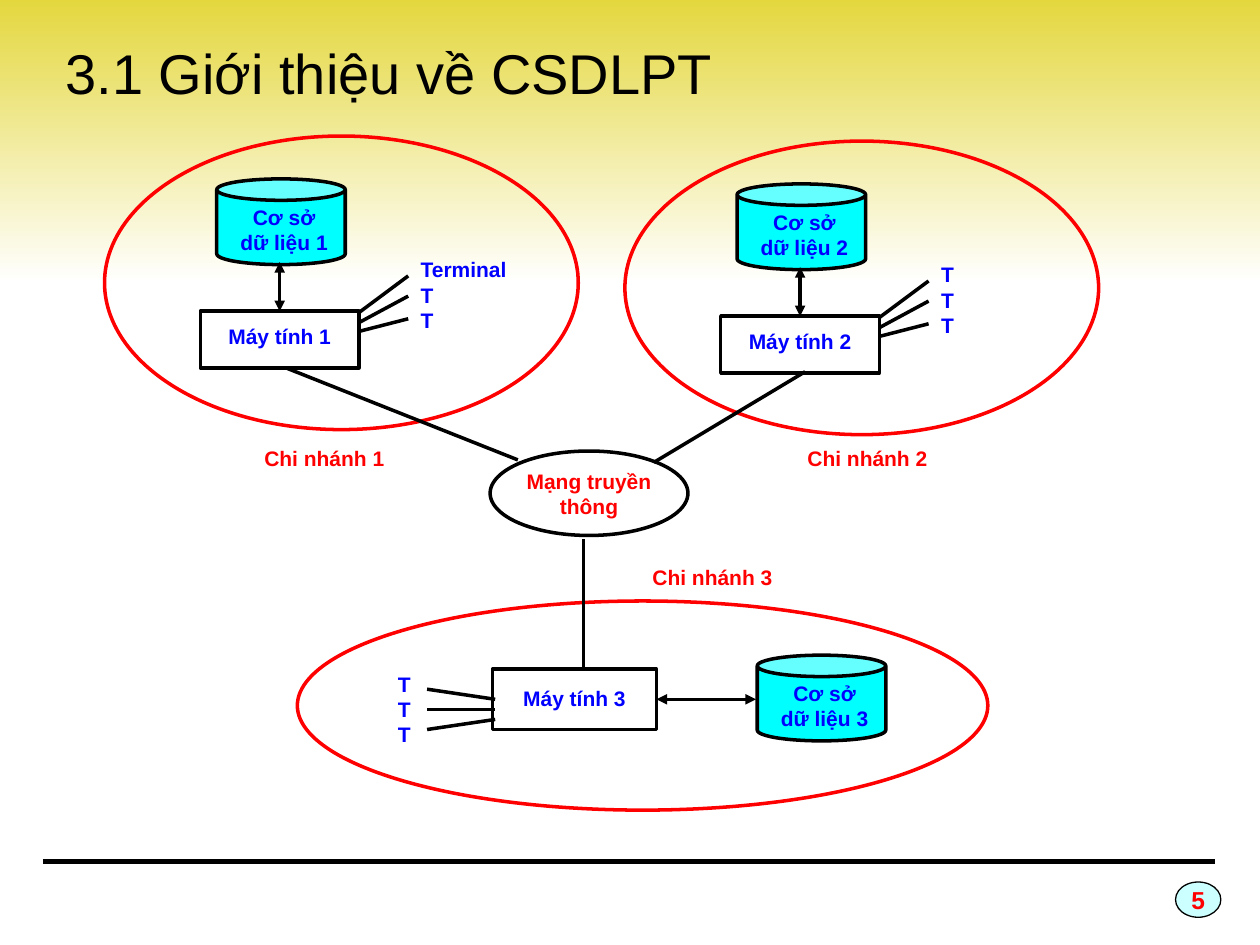
from lxml import etree
from pptx import Presentation
from pptx.dml.color import RGBColor
from pptx.enum.shapes import MSO_CONNECTOR, MSO_SHAPE
from pptx.enum.text import MSO_ANCHOR, MSO_AUTO_SIZE, PP_ALIGN
from pptx.oxml.ns import qn
from pptx.util import Inches, Pt

STRAIGHT = MSO_CONNECTOR.STRAIGHT
RECT, OVAL, CAN = MSO_SHAPE.RECTANGLE, MSO_SHAPE.OVAL, MSO_SHAPE.CAN
LEFT, CENTER = PP_ALIGN.LEFT, PP_ALIGN.CENTER
MIDDLE = MSO_ANCHOR.MIDDLE
TOP_SIDE, RIGHT_SIDE = 0, 3

COLORS = {"gold": "E3D638", "white": "FFFFFF", "black": "000000", "red": "FF0000",
          "blue": "0000FF", "cyan": "00FFFF", "pale": "CCFFFF"}

TITLE = "3.1 Giới thiệu về CSDLPT"
NETWORK = ["Mạng truyền", "thông"]
PAGE = "5"
TERMINAL_LINES = [(2.85, 2.48, 3.24, 2.19), (2.85, 2.56, 3.24, 2.35), (2.85, 2.63, 3.24, 2.53)]
UPPER = {
    "area": (0.83, 1.08, 3.76, 2.33), "database": (1.72, 1.42, 1.02, 0.68),
    "computer": (1.59, 2.47, 1.26, 0.45), "computer_text": (1.56, 2.52, 1.32, 0.29),
    "terminal_text": (3.24, 1.99, 1.31, 0.95), "terminal_lines": TERMINAL_LINES,
    "link": (2.22, 2.08, 2.22, 2.47), "joined_side": TOP_SIDE,
}
LOWER = {
    "area": (2.36, 4.77, 5.48, 1.66), "database": (6.01, 5.2, 1.02, 0.68),
    "computer": (3.91, 5.31, 1.3, 0.48), "computer_text": (3.93, 5.39, 1.26, 0.28),
    "terminal_text": (3.06, 5.28, 0.54, 0.8),
    "terminal_lines": [(3.39, 5.47, 3.93, 5.55), (3.39, 5.63, 3.93, 5.63), (3.39, 5.79, 3.93, 5.71)],
    "link": (6, 5.55, 5.21, 5.55), "joined_side": RIGHT_SIDE,
}
BRANCHES = [
    {"number": 1, "plan": UPPER, "shift": (0, 0), "terminals": ["Terminal", "T", "T"],
     "caption": (1.86, 3.49), "trunk": (2.27, 2.92, 4.11, 3.65)},
    {"number": 2, "plan": UPPER, "shift": (4.13, 0.04), "terminals": ["T", "T", "T"],
     "caption": (6.17, 3.49), "trunk": (6.39, 2.95, 5.19, 3.67)},
    {"number": 3, "plan": LOWER, "shift": (0, 0), "terminals": ["T", "T", "T"],
     "caption": (4.94, 4.43), "trunk": (4.63, 5.31, 4.63, 4.28)},
]

prs = Presentation()
prs.slide_width, prs.slide_height = Inches(10), Inches(7.5)
slide = prs.slides.add_slide(prs.slide_layouts[5])
shapes = slide.shapes


def rgb(color):
    return RGBColor.from_string(COLORS[color])


def inches(values):
    return [Inches(value) for value in values]


def moved(values, shift):
    return [value + shift[i % 2] if i < 2 else value for i, value in enumerate(values)]


def write(shape, lines, color, size=12, align=CENTER, bold=True):
    frame = shape.text_frame
    frame.text = "\n".join(lines)
    for paragraph in frame.paragraphs:
        paragraph.alignment = align
        font = paragraph.font
        font.name, font.size, font.bold = "Arial", Pt(size), bold
        font.color.rgb = rgb(color)


def add_label(box, lines, color, align=CENTER):
    label = shapes.add_textbox(*inches(box))
    label.text_frame.word_wrap = True
    write(label, lines, color, align=align)


def add_figure(preset, box, line, fill=None, width=2):
    figure = shapes.add_shape(preset, *inches(box))
    figure.shadow.inherit = False
    if fill:
        figure.fill.solid()
        figure.fill.fore_color.rgb = rgb(fill)
    else:
        figure.fill.background()
    figure.line.color.rgb = rgb(line)
    figure.line.width = Pt(width)
    return figure


def add_line(ends, width=2, arrows=False):
    line = shapes.add_connector(STRAIGHT, *inches(ends))
    line.line.color.rgb = rgb("black")
    line.line.width = Pt(width)
    if arrows:
        outline = line.line._get_or_add_ln()
        for end in ("a:headEnd", "a:tailEnd"):
            etree.SubElement(outline, qn(end), type="triangle", w="med", len="med")
    etree.SubElement(line._element.spPr, qn("a:effectLst"))
    return line


def add_branch(branch):
    plan, shift, number = branch["plan"], branch["shift"], branch["number"]
    place = {part: moved(plan[part], shift) for part in
             ("area", "database", "computer", "computer_text", "terminal_text")}
    add_figure(OVAL, place["area"], "red")
    add_figure(CAN, place["database"], "black", "cyan")
    computer = add_figure(RECT, place["computer"], "black")
    add_label(place["computer_text"], [f"Máy tính {number}"], "blue")
    add_label(place["terminal_text"], branch["terminals"], "blue", LEFT)
    x, y = place["database"][:2]
    add_label((x - 0.05, y + 0.15, 1.17, 0.48), ["Cơ sở", f"dữ liệu {number}"], "blue")
    add_label((*branch["caption"], 1.43, 0.39), [f"Chi nhánh {number}"], "red")
    dx, dy = shift
    for x1, y1, x2, y2 in plan["terminal_lines"]:
        add_line((x1 + dx, y1 + dy, x2 + dx, y2 + dy))
    x1, y1, x2, y2 = plan["link"]
    link = add_line((x1 + dx, y1 + dy, x2 + dx, y2 + dy), arrows=True)
    link.end_connect(computer, plan["joined_side"])
    add_line(branch["trunk"])


band = add_figure(RECT, (0, -0.08, 10, 2.33), "white")
band.line.fill.background()
band.fill.gradient()
band.fill.gradient_angle = 270
for stop, color in zip(band.fill.gradient_stops, ("gold", "white")):
    stop.color.rgb = rgb(color)
shapes._spTree.insert(2, band._element)

title = shapes.title
title.left, title.top, title.width, title.height = inches((0.42, 0.25, 6.17, 0.64))
title.text_frame.auto_size = MSO_AUTO_SIZE.NONE
title.text_frame.vertical_anchor = MIDDLE
write(title, [TITLE], "black", 32, LEFT, False)

add_line((0.34, 6.84, 9.64, 6.84), 3)
page = add_figure(OVAL, (9.33, 7, 0.36, 0.28), "black", "pale", 0.75)
page.text_frame.word_wrap = False
page.text_frame.vertical_anchor = MIDDLE
write(page, [PAGE], "red", 14)

for branch in BRANCHES:
    add_branch(branch)
add_figure(OVAL, (3.89, 3.58, 1.57, 0.67), "black")
add_label((3.89, 3.67, 1.57, 0.51), NETWORK, "red")

prs.save("out.pptx")
